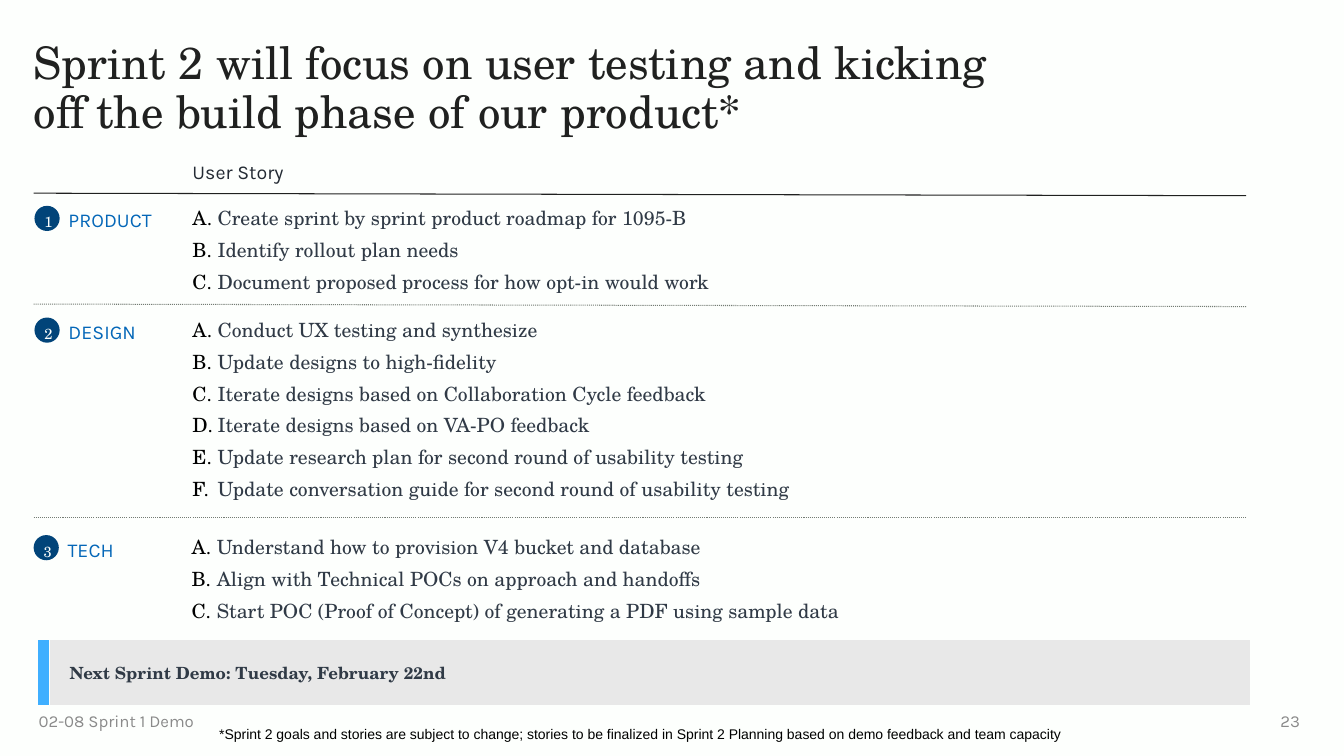
from dataclasses import dataclass

from lxml.etree import SubElement
from pptx import Presentation
from pptx.dml.color import RGBColor
from pptx.enum.dml import MSO_LINE
from pptx.enum.shapes import MSO_CONNECTOR, MSO_SHAPE
from pptx.enum.text import MSO_ANCHOR, MSO_AUTO_SIZE, PP_ALIGN
from pptx.oxml.ns import qn
from pptx.util import Inches, Pt

CELL = Inches(7.5) / 90


@dataclass(frozen=True)
class Theme:
    """Colours and type styles, each style being font, size, colour and bold."""

    paper: str = "FDFFFD"
    ink: str = "202120"
    dots: str = "747C74"
    badge: str = "014479"
    accent: str = "3FAFFF"
    panel: str = "E8E8E8"
    bullet: str = "000000"
    title: tuple = ("TeX Gyre Schola", 32, "202120", False)
    story: tuple = ("TeX Gyre Schola", 14, "303A46", False)
    number: tuple = ("TeX Gyre Schola", 10.5, "FDFFFD", False)
    demo: tuple = ("TeX Gyre Schola", 12, "303A46", True)
    label: tuple = ("Karla", 14, "0467B8", False)
    heading: tuple = ("Karla", 14, "242B34", False)
    footer: tuple = ("Karla", 12, "8A8A8A", False)
    note: tuple = ("Arial", 10, "000000", False)


THEME = Theme()
SECTIONS = [
    ("PRODUCT", (4.1, 24.5, 152.2, 10.6), 1, [
        "Create sprint by sprint product roadmap for 1095-B",
        "Identify rollout plan needs",
        "Document proposed process for how opt-in would work",
    ]),
    ("DESIGN", (4.1, 37.8, 144.2, 22), 2, [
        "Conduct UX testing and synthesize",
        "Update designs to high-fidelity",
        "Iterate designs based on Collaboration Cycle feedback",
        "Iterate designs based on VA-PO feedback",
        "Update research plan for second round of usability testing",
        "Update conversation guide for second round of usability testing",
    ]),
    ("TECH", (4, 63.7, 135.2, 10.6), 4, [
        "Understand how to provision V4 bucket and database",
        "Align with Technical POCs on approach and handoffs",
        "Start POC (Proof of Concept) of generating a PDF using sample data",
    ]),
]


def cells(*counts):
    """Turn counts of grid cells into lengths."""
    return [round(count * CELL) for count in counts]


def assign(target, values):
    """Set the attributes of an object from a dict."""
    for name, value in values.items():
        setattr(target, name, value)


def move(shape, box):
    """Place a shape on the grid."""
    assign(shape, dict(zip(("left", "top", "width", "height"), cells(*box))))


def margins(left, top, right, bottom):
    """Give the four text margins as format values."""
    names = ("margin_left", "margin_top", "margin_right", "margin_bottom")
    return dict(zip(names, cells(left, top, right, bottom)))


def letter(para):
    """Number a paragraph with a hanging capital letter."""
    properties = para._p.get_or_add_pPr()
    assign_indent = {"marL": Inches(0.25), "indent": -Inches(0.25)}
    for name, value in assign_indent.items():
        properties.set(name, str(value))
    color = SubElement(properties, qn("a:buClr"))
    SubElement(color, qn("a:srgbClr"), val=THEME.bullet)
    SubElement(properties, qn("a:buAutoNum"), type="alphaUcPeriod")


def write(frame, lines, style, inset=(0, 0, 0, 0), anchor=MSO_ANCHOR.TOP,
          align=PP_ALIGN.LEFT, spacing=1.0, lettered=False):
    """Fill a text frame with one paragraph per line."""
    name, size, color, bold = style
    assign(frame, {"word_wrap": True, "auto_size": MSO_AUTO_SIZE.NONE,
                   "vertical_anchor": anchor, **margins(*inset)})
    for index, line in enumerate(lines):
        para = frame.add_paragraph() if index else frame.paragraphs[0]
        if lettered:
            letter(para)
        assign(para, {"alignment": align, "line_spacing": spacing,
                      "space_before": Pt(6 if index else 0)})
        span = para.add_run()
        span.text = line
        assign(span.font, {"name": name, "size": Pt(size), "bold": bold})
        span.font.color.rgb = RGBColor.from_string(color)


def paint(fill, color):
    """Give a fill one solid colour."""
    fill.solid()
    fill.fore_color.rgb = RGBColor.from_string(color)


def add_text(page, box, text, style, **layout):
    """Add a text box on the grid."""
    write(page.shapes.add_textbox(*cells(*box)).text_frame, [text], style, **layout)


def add_rule(page, start, end, color, dash=None):
    """Draw a thin rule between two grid points."""
    rule = page.shapes.add_connector(MSO_CONNECTOR.STRAIGHT, *cells(*start, *end))
    assign(rule.line, {"width": Pt(0.75), "dash_style": dash})
    rule.line.color.rgb = RGBColor.from_string(color)
    SubElement(rule._element.spPr, qn("a:effectLst"))


def add_header(page, box):
    """Set the title, the column heading and the rule below it."""
    left, top, width, height = box
    move(page.shapes.title, (left, top, 118.1, 14))
    title = "Sprint 2 will focus on user testing and kicking off the build phase of our product*"
    write(page.shapes.title.text_frame, [title], THEME.title, spacing=0.9)
    heading = page.placeholders[3]
    move(heading, (left + 18.9, top + 14.1, 130.2, 2.9))
    write(heading.text_frame, ["User Story"], THEME.heading)
    bottom = top + height
    add_rule(page, (left, bottom - 0.3), (left + width, bottom), THEME.ink)


def add_section(page, box, number, label, stories, holder):
    """Set a numbered badge, its label and the lettered stories."""
    left, top, width, height = box
    badge = page.shapes.add_shape(MSO_SHAPE.OVAL, *cells(left, top, 3, 3))
    badge.shadow.inherit = False
    paint(badge.fill, THEME.badge)
    badge.line.fill.background()
    write(badge.text_frame, [str(number)], THEME.number, (0.75,) * 4,
          MSO_ANCHOR.MIDDLE, PP_ALIGN.CENTER, 1.4)
    add_text(page, (left + 4.05, top + 0.3, 11.6, 2.9), label, THEME.label)
    move(holder, (left + 18.8, top, width - 18.8, height))
    write(holder.text_frame, stories, THEME.story, lettered=True)


def add_banner(page, box):
    """Show the next demo date beside an accent bar."""
    table = page.shapes.add_table(1, 2, *cells(*box)).table
    assign(table, {"first_row": False, "horz_banding": False})
    widths = cells(1.5, box[2] - 1.5)
    insets = [(0,) * 4, (2.4, 2.4, 34.8, 2.4)]
    for index, color in enumerate((THEME.accent, THEME.panel)):
        table.columns[index].width = widths[index]
        cell = table.cell(0, index)
        assign(cell, margins(*insets[index]))
        for side, weight in {"L": 1, "R": 1, "T": 1, "B": 3}.items():
            border = SubElement(cell._tc.get_or_add_tcPr(), qn(f"a:ln{side}"), w=str(Pt(weight)))
            solid = SubElement(border, qn("a:solidFill"))
            SubElement(solid, qn("a:srgbClr"), val=THEME.paper)
        paint(cell.fill, color)
    write_cell(table.cell(0, 1), "Next Sprint Demo: Tuesday, February 22nd", THEME.demo)


def write_cell(cell, text, style):
    """Put one styled span into a table cell."""
    name, size, color, bold = style
    span = cell.text_frame.paragraphs[0].add_run()
    span.text = text
    assign(span.font, {"name": name, "size": Pt(size), "bold": bold})
    span.font.color.rgb = RGBColor.from_string(color)


def add_footer(page, box):
    """Set the deck name, the page number and the footnote."""
    left, top, width, height = box
    middle = {"anchor": MSO_ANCHOR.MIDDLE}
    add_text(page, (left, top, 21.6, height), "02-08 Sprint 1 Demo", THEME.footer,
             inset=(0.6, 0.6, 1.2, 0.6), **middle)
    add_text(page, (left + width - 5.3, top, 5.3, height), "23", THEME.footer,
             inset=(1.2, 0.6, 1.2, 0.6), align=PP_ALIGN.RIGHT, **middle)
    note = ("*Sprint 2 goals and stories are subject to change; stories to be finalized "
            "in Sprint 2 Planning based on demo feedback and team capacity")
    add_text(page, (left + 20.9, top + 2.4, 124.1, 3.2), note, THEME.note,
             inset=(1.2, 0.6, 1.2, 0.6))


def main():
    """Build the sprint plan slide."""
    deck = Presentation()
    assign(deck, {"slide_width": Inches(13.33), "slide_height": Inches(7.5)})
    page = deck.slides.add_slide(deck.slide_layouts.get_by_name("Comparison"))
    paint(page.background.fill, THEME.paper)
    add_header(page, (4, 4.9, 144.3, 18.4))
    for number, (label, box, holder, stories) in enumerate(SECTIONS, 1):
        add_section(page, box, number, label, stories, page.placeholders[holder])
    for start, end in ((36.2, 36.5), (61.6, 61.6)):
        add_rule(page, (4, start), (148.3, end), THEME.dots, MSO_LINE.ROUND_DOT)
    add_banner(page, (4.4, 76.1, 144.4, 8))
    add_footer(page, (4, 83.4, 151.9, 4.8))
    deck.save("out.pptx")


if __name__ == "__main__":
    main()
